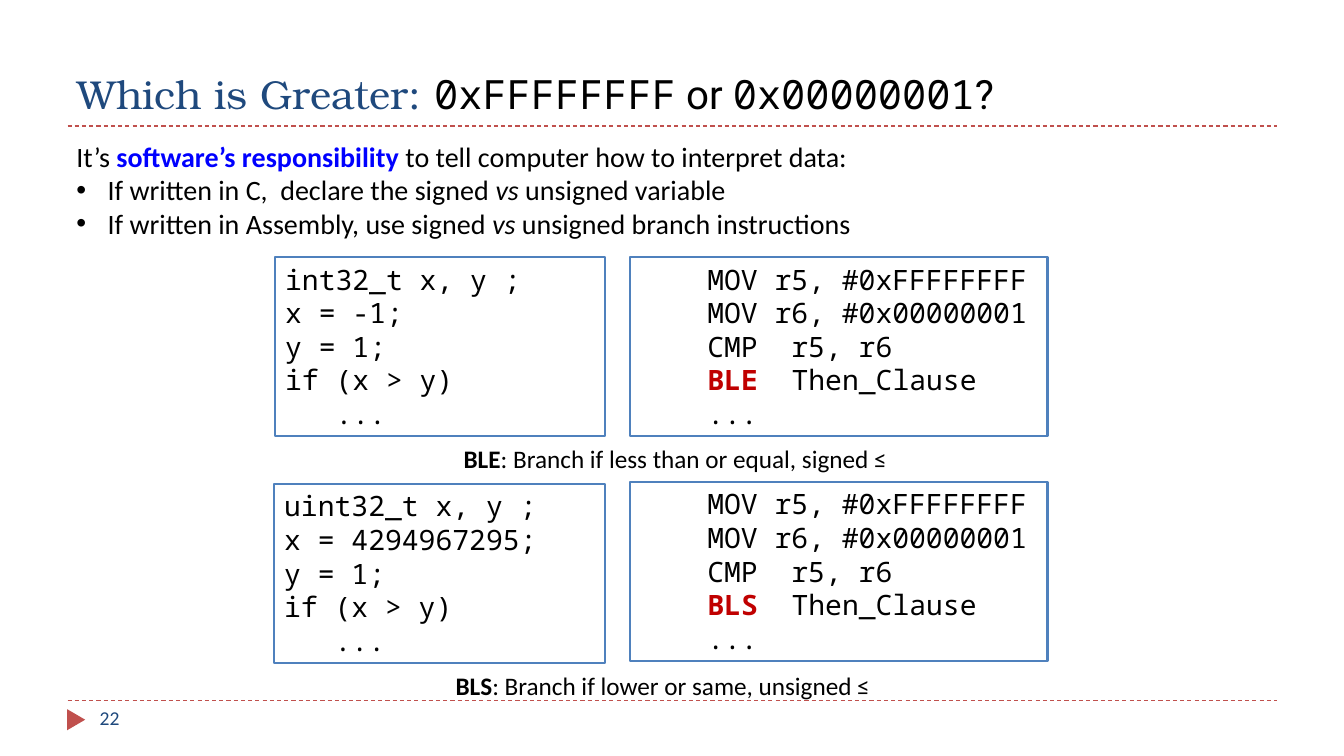
"""Builds the slide on signed and unsigned comparison of hexadecimal values."""
import pptx
import pptx.dml.color
import pptx.enum.dml
import pptx.enum.shapes
import pptx.enum.text
import pptx.oxml
import pptx.oxml.ns
import pptx.util

Inches = pptx.util.Inches
Pt = pptx.util.Pt

COLORS = {"navy": "1F497D", "black": "000000", "blue": "0000FF", "red": "C00000",
          "accent": "C0504D", "border": "4F81BD", "white": "FFFFFF"}
SERIF, SANS, MONO, HEADING = "TeX Gyre Bonum", "Calibri", "Noto Sans Mono", "Roboto"
BOLD, ITALIC = {"bold": True}, {"italic": True}

TITLE = [[("Which is Greater: ", {"font": SERIF, "color": "navy"}),
          ("0xFFFFFFFF", {"font": MONO}), " or ",
          ("0x00000001", {"font": MONO}), "?"]]
INTRO = [
    ["It’s ", ("software’s responsibility ", {"bold": True, "color": "blue"}),
     "to tell computer how to interpret data:"],
    ["If written in C,  declare the signed ", ("vs", ITALIC), " unsigned variable"],
    ["If written in Assembly, use signed ", ("vs", ITALIC), " unsigned branch instructions"],
]
EXAMPLES = [
    {"declaration": "int32_t x, y ;", "value": "-1", "branch": "BLE",
     "meaning": ": Branch if less than or equal, signed ≤",
     "c_box": (2.73, 2.55, 3.27), "assembly_top": 2.55, "caption": (4.5, 4.35, 4.52)},
    {"declaration": "uint32_t x, y ;", "value": "4294967295", "branch": "BLS",
     "meaning": ": Branch if lower or same, unsigned ≤",
     "c_box": (2.72, 4.8, 3.28), "assembly_top": 4.78, "caption": (4.42, 6.6, 4.46)},
]
RULE_LEFT, RULE_RIGHT, RULE_TOPS = 0.67, 12.67, (1.25, 6.95)
ASSEMBLY_LEFT, ASSEMBLY_WIDTH, CODE_HEIGHT, LINE_HEIGHT = 6.25, 4.14, 1.78, 0.4


def rgb(name):
    return pptx.dml.color.RGBColor.from_string(COLORS[name])


def add_bullet(paragraph):
    properties = paragraph._p.get_or_add_pPr()
    properties.set("marL", str(Inches(0.31)))
    properties.set("indent", str(Inches(-0.31)))
    for tag, attribute, value in (("a:buFont", "typeface", "Arial"), ("a:buChar", "char", "•")):
        element = pptx.oxml.xmlchemy.OxmlElement(tag)
        element.set(attribute, value)
        properties.append(element)


def write_text(shape, paragraphs, size, font=SANS, color="black", anchor="TOP", bullets_from=None):
    frame = shape.text_frame
    frame.word_wrap = True
    frame.vertical_anchor = getattr(pptx.enum.text.MSO_ANCHOR, anchor)
    for index, pieces in enumerate(paragraphs):
        paragraph = frame.add_paragraph() if index else frame.paragraphs[0]
        paragraph.alignment = pptx.enum.text.PP_ALIGN.LEFT
        if bullets_from is not None and index >= bullets_from:
            add_bullet(paragraph)
        for piece in pieces:
            text, style = (piece, {}) if isinstance(piece, str) else piece
            run = paragraph.add_run()
            run.text = text
            run.font.size = Pt(size)
            run.font.name = style.get("font", font)
            run.font.bold = style.get("bold", False)
            run.font.italic = style.get("italic", False)
            run.font.color.rgb = rgb(style.get("color", color))


def add_text(slide, box, paragraphs, **formatting):
    write_text(slide.shapes.add_textbox(*map(Inches, box)), paragraphs, **formatting)


def add_shape(slide, kind, box, fill, line=None):
    shape = slide.shapes.add_shape(kind, *map(Inches, box))
    shape.shadow.inherit = False
    shape.fill.solid()
    shape.fill.fore_color.rgb = rgb(fill)
    if line:
        shape.line.color.rgb = rgb(line)
        shape.line.width = Pt(1.5)
    else:
        shape.line.fill.background()
    return shape


def add_code(slide, box, lines):
    shape = add_shape(slide, pptx.enum.shapes.MSO_SHAPE.RECTANGLE, box, "white", "border")
    write_text(shape, lines, size=20, font=MONO)


def add_rule(slide, top):
    rule = slide.shapes.add_connector(
        pptx.enum.shapes.MSO_CONNECTOR.STRAIGHT,
        Inches(RULE_LEFT), Inches(top), Inches(RULE_RIGHT), Inches(top))
    rule.line.color.rgb = rgb("accent")
    rule.line.width = Pt(0.75)
    rule.line.dash_style = pptx.enum.dml.MSO_LINE.DASH
    rule._element.spPr.append(pptx.oxml.xmlchemy.OxmlElement("a:effectLst"))


def add_example(slide, example):
    c_lines = [[example["declaration"]], [f"x = {example['value']};"], ["y = 1;"],
               ["if (x > y)"], ["   ..."]]
    assembly_lines = [
        ["    MOV r5, #0xFFFFFFFF"], ["    MOV r6, #0x00000001"], ["    CMP  r5, r6"],
        ["    ", (example["branch"] + "  ", {"bold": True, "color": "red"}), "Then_Clause"],
        ["    ..."]]
    add_code(slide, (*example["c_box"], CODE_HEIGHT), c_lines)
    add_code(slide, (ASSEMBLY_LEFT, example["assembly_top"], ASSEMBLY_WIDTH, CODE_HEIGHT),
             assembly_lines)
    add_text(slide, (*example["caption"], LINE_HEIGHT),
             [[(example["branch"], BOLD), example["meaning"]]], size=18)


def main():
    presentation = pptx.Presentation()
    presentation.slide_width, presentation.slide_height = Inches(13.33), Inches(7.5)
    slide = presentation.slides.add_slide(presentation.slide_layouts[6])
    for top in RULE_TOPS:
        add_rule(slide, top)
    marker = add_shape(slide, pptx.enum.shapes.MSO_SHAPE.ISOSCELES_TRIANGLE,
                       (0.65, 7.05, 0.21, 0.18), "accent")
    marker.rotation = 90
    add_text(slide, (0.67, 0.14, 9.5, 1.08), TITLE, size=28.8, font=HEADING, anchor="BOTTOM")
    add_text(slide, (0.66, 1.33, 8.17, 1.11), INTRO, size=20, bullets_from=1)
    for example in EXAMPLES:
        add_example(slide, example)
    add_text(slide, (0.89, 6.95, 2.89, LINE_HEIGHT), [["22"]], size=14, color="navy")
    presentation.save("out.pptx")


if __name__ == "__main__":
    main()
